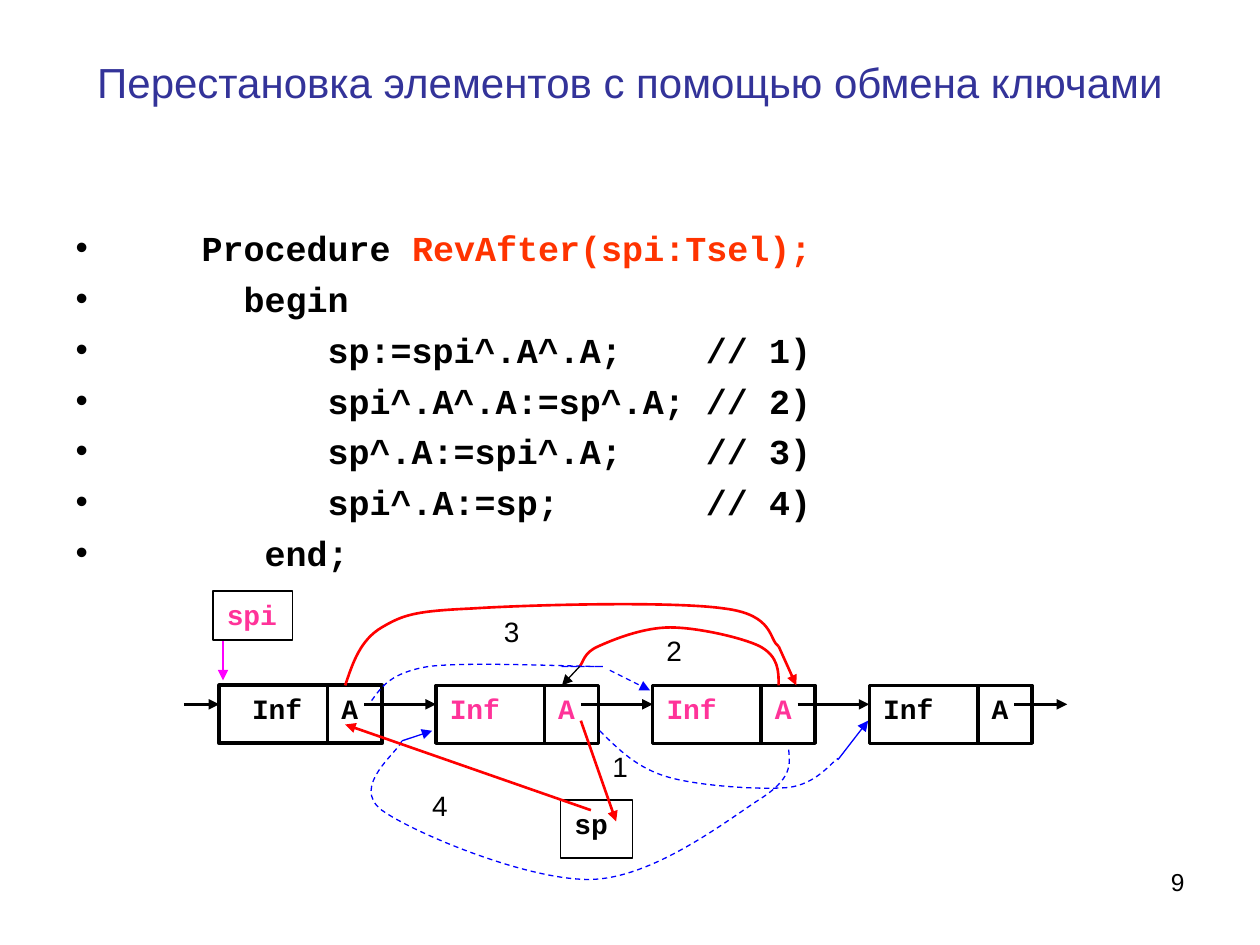
from lxml import etree
from pptx import Presentation
from pptx.dml.color import RGBColor
from pptx.enum.dml import MSO_LINE
from pptx.enum.shapes import MSO_CONNECTOR, MSO_SHAPE
from pptx.enum.text import MSO_ANCHOR, MSO_AUTO_SIZE, PP_ALIGN
from pptx.oxml.ns import qn
from pptx.util import Inches, Pt

STRAIGHT = MSO_CONNECTOR.STRAIGHT
RECTANGLE = MSO_SHAPE.RECTANGLE
DASH = MSO_LINE.DASH
TOP, MIDDLE = MSO_ANCHOR.TOP, MSO_ANCHOR.MIDDLE
LEFT, CENTER, RIGHT = PP_ALIGN.LEFT, PP_ALIGN.CENTER, PP_ALIGN.RIGHT
NO_AUTOFIT = MSO_AUTO_SIZE.NONE

BLACK, WHITE, RED, BLUE = "000000", "FFFFFF", "FF0000", "0000FF"
PINK, MAGENTA, ORANGE, NAVY = "FF3399", "FF00FF", "FF3300", "333399"
SANS, MONO = "Arial", "Courier New"

# Linked list: equal nodes, each split into a key and an address
NODE_LEFT, NODE_TOP, NODE_PITCH = 1.74, 5.44, 1.72
NODE_WIDTH, NODE_HEIGHT = 1.29, 0.46
KEY_WIDTH, LINK_START, LINK_Y = 0.86, 1.15, 5.59
NODE_COLORS = [BLACK, PINK, PINK, BLACK]

CODE = [
    [("\tProcedure ", BLACK), ("RevAfter(spi:Tsel);", ORANGE)],
    [("\t  begin", BLACK)],
    [("\t\tsp:=spi^.A^.A;    // 1)", BLACK)],
    [("\t\tspi^.A^.A:=sp^.A; // 2)", BLACK)],
    [("\t\tsp^.A:=spi^.A;    // 3)", BLACK)],
    [("\t\tspi^.A:=sp;       // 4)", BLACK)],
    [("\t   end;", BLACK)],
]

STEP_LABELS = [("1", 4.75, 5.9), ("2", 5.18, 4.98), ("3", 3.89, 4.83), ("4", 3.32, 6.21)]

# Start point followed by three Bezier points for each segment
CURVES = [
    (RED, 1.5, None, [
        (6.18, 5.44), (6.18, 5.33), (6.18, 5.21), (6.03, 5.13),
        (5.89, 5.06), (5.53, 4.98), (5.32, 4.98),
        (5.1, 4.98), (4.86, 5.08), (4.75, 5.13),
        (4.63, 5.18), (4.63, 5.26), (4.6, 5.29)]),
    (RED, 1.5, None, [
        (2.74, 5.44), (2.8, 5.26), (2.86, 5.08), (3.03, 4.98),
        (3.2, 4.88), (3.29, 4.85), (3.74, 4.83),
        (4.2, 4.8), (5.34, 4.77), (5.75, 4.83),
        (6.15, 4.88), (6.1, 5.08), (6.18, 5.13)]),
    (BLUE, 0.75, DASH, [
        (2.95, 5.56), (3.03, 5.45), (3.1, 5.34), (3.4, 5.29),
        (3.7, 5.25), (4.57, 5.29), (4.75, 5.29),
        (4.92, 5.29), (4.47, 5.29), (4.45, 5.29),
        (4.42, 5.29), (4.51, 5.29), (4.6, 5.29)]),
    (BLUE, 0.75, DASH, [
        (6.26, 5.95), (6.27, 6.07), (6.29, 6.18), (6.02, 6.35),
        (5.76, 6.52), (5.18, 6.97), (4.69, 6.98),
        (4.19, 6.99), (3.28, 6.61), (3.03, 6.43),
        (2.78, 6.24), (3.16, 5.97), (3.19, 5.88)]),
    (BLUE, 0.75, DASH, [
        (4.76, 5.8), (4.91, 5.95), (5.06, 6.1), (5.31, 6.17),
        (5.56, 6.24), (6.04, 6.27), (6.26, 6.25),
        (6.48, 6.22), (6.59, 6.06), (6.65, 6.02)]),
]

POINTERS = [
    ((4.61, 5.72), (4.89, 6.52), RED, 1.5, None),
    ((4.69, 6.43), (2.74, 5.75), RED, 1.5, None),
    ((4.6, 5.29), (4.46, 5.44), BLACK, 0.75, None),
    ((6.18, 5.13), (6.32, 5.44), RED, 1.5, None),
    ((1.77, 5.09), (1.77, 5.4), MAGENTA, 0.75, None),
    ((4.84, 5.32), (5.16, 5.48), BLUE, 0.75, DASH),
    ((3.19, 5.88), (3.43, 5.8), BLUE, 0.75, None),
    ((6.65, 6.03), (6.89, 5.72), BLUE, 0.75, None),
]


def color(hex_string):
    return RGBColor.from_string(hex_string)


def set_attributes(target, values):
    for name, value in values.items():
        setattr(target, name, value)


def place(shape, left, top, width, height):
    set_attributes(shape, {"left": Inches(left), "top": Inches(top),
                           "width": Inches(width), "height": Inches(height)})


def format_line(line, hex_string, points, dash=None):
    line.color.rgb = color(hex_string)
    set_attributes(line, {"width": Pt(points), "dash_style": dash})


def format_frame(frame, anchor=TOP, side=0.1):
    set_attributes(frame, {
        "word_wrap": True, "auto_size": NO_AUTOFIT, "vertical_anchor": anchor,
        "margin_left": Inches(side), "margin_right": Inches(side),
        "margin_top": Inches(0.05), "margin_bottom": Inches(0.05)})


def add_run(paragraph, text, font, size, hex_string, bold=False):
    run = paragraph.add_run()
    run.text = text
    set_attributes(run.font, {"name": font, "size": Pt(size), "bold": bold})
    run.font.color.rgb = color(hex_string)


def write(shape, text, font, size, hex_string, bold=False, align=LEFT, anchor=TOP, side=0.11):
    format_frame(shape.text_frame, anchor, side)
    paragraph = shape.text_frame.paragraphs[0]
    paragraph.alignment = align
    add_run(paragraph, text, font, size, hex_string, bold)


def add_label(slide, box, text, font, hex_string=BLACK, bold=False, **options):
    shape = slide.shapes.add_textbox(*map(Inches, box))
    write(shape, text, font, options.pop("size", 16), hex_string, bold, **options)


def add_box(slide, box, points, fill=None):
    shape = slide.shapes.add_shape(RECTANGLE, *map(Inches, box))
    shape.shadow.inherit = False
    if fill:
        shape.fill.solid()
        shape.fill.fore_color.rgb = color(fill)
    else:
        shape.fill.background()
    format_line(shape.line, BLACK, points)
    return shape


def add_line(slide, start, end, hex_string=BLACK, points=2, dash=None, arrow=True):
    connector = slide.shapes.add_connector(STRAIGHT, *map(Inches, (*start, *end)))
    format_line(connector.line, hex_string, points, dash)
    if arrow:
        etree.SubElement(connector.line._get_or_add_ln(), qn("a:tailEnd"), type="triangle")
    etree.SubElement(connector._element.spPr, qn("a:effectLst"))


def add_curve(slide, hex_string, points, dash, vertices):
    """Draw an open outline whose vertices after the first are Bezier triples."""
    start, *others = [(Inches(x), Inches(y)) for x, y in vertices]
    builder = slide.shapes.build_freeform(*start)
    builder.add_line_segments(others, close=False)
    shape = builder.convert_to_shape()
    segments = list(shape._element.iter(qn("a:lnTo")))
    outline = segments[0].getparent()
    for first in range(0, len(segments), 3):
        bezier = etree.SubElement(outline, qn("a:cubicBezTo"))
        for segment in segments[first:first + 3]:
            bezier.append(segment[0])
            outline.remove(segment)
    shape.shadow.inherit = False
    shape.fill.background()
    format_line(shape.line, hex_string, points, dash)


def add_bullet_and_tabs(paragraph):
    properties = paragraph._p.get_or_add_pPr()
    properties.set("marL", str(Inches(0.38)))
    properties.set("indent", str(Inches(-0.38)))
    bullet_color = etree.SubElement(properties, qn("a:buClr"))
    etree.SubElement(bullet_color, qn("a:srgbClr"), val=BLACK)
    etree.SubElement(properties, qn("a:buFont"), typeface=SANS)
    etree.SubElement(properties, qn("a:buChar"), char="•")
    tabs = etree.SubElement(properties, qn("a:tabLst"))
    for inch in range(1, 9):
        etree.SubElement(tabs, qn("a:tab"), pos=str(Inches(inch)), algn="l")


def write_code(shape):
    frame = shape.text_frame
    format_frame(frame)
    for index, runs in enumerate(CODE):
        paragraph = frame.add_paragraph() if index else frame.paragraphs[0]
        add_bullet_and_tabs(paragraph)
        paragraph.space_before = Pt(5 if index else 0)
        for text, hex_string in runs:
            add_run(paragraph, text, MONO, 20, hex_string, True)


def add_node(slide, index, hex_string):
    left = NODE_LEFT + index * NODE_PITCH
    divider = left + KEY_WIDTH
    key_left = left if index else left + 0.15
    add_box(slide, (left, NODE_TOP, NODE_WIDTH, NODE_HEIGHT), 2 if index else 2.25, WHITE)
    add_line(slide, (divider, NODE_TOP), (divider, NODE_TOP + NODE_HEIGHT), arrow=False)
    add_label(slide, (key_left, NODE_TOP, 0.71, NODE_HEIGHT), "Inf", MONO, hex_string, True)
    add_label(slide, (divider, NODE_TOP, 0.43, NODE_HEIGHT), "A", MONO, hex_string, True)


def add_links(slide):
    add_line(slide, (1.46, LINK_Y), (NODE_LEFT, LINK_Y))
    for index in range(len(NODE_COLORS)):
        left = NODE_LEFT + index * NODE_PITCH
        end = left + NODE_PITCH if index < len(NODE_COLORS) - 1 else 8.47
        add_line(slide, (left + LINK_START, LINK_Y), (end, LINK_Y))


def main():
    presentation = Presentation()
    set_attributes(presentation, {"slide_width": Inches(10), "slide_height": Inches(7.5)})
    slide = presentation.slides.add_slide(presentation.slide_layouts[1])
    title, body = slide.shapes.title, slide.placeholders[1]
    place(title, 0.5, 0.3, 9, 0.69)
    write(title, "Перестановка элементов с помощью обмена ключами", SANS, 24, NAVY,
          align=CENTER, anchor=MIDDLE, side=0.1)
    place(body, 0.5, 1.75, 9, 2.87)
    write_code(body)

    for index, hex_string in enumerate(NODE_COLORS):
        add_node(slide, index, hex_string)
    add_links(slide)
    write(add_box(slide, (4.45, 6.35, 0.57, 0.46), 0.75), "sp", MONO, 16, BLACK, True)
    write(add_box(slide, (1.69, 4.69, 0.63, 0.39), 0.75), "spi", MONO, 16, PINK, True)
    for curve in CURVES:
        add_curve(slide, *curve)
    for pointer in POINTERS:
        add_line(slide, *pointer)
    for text, left, top in STEP_LABELS:
        add_label(slide, (left, top, 0.43, 0.46), text, SANS)
    add_label(slide, (7.17, 6.83, 2.33, 0.52), "9", SANS, size=14, align=RIGHT, side=0.1)
    presentation.save("out.pptx")


if __name__ == "__main__":
    main()
